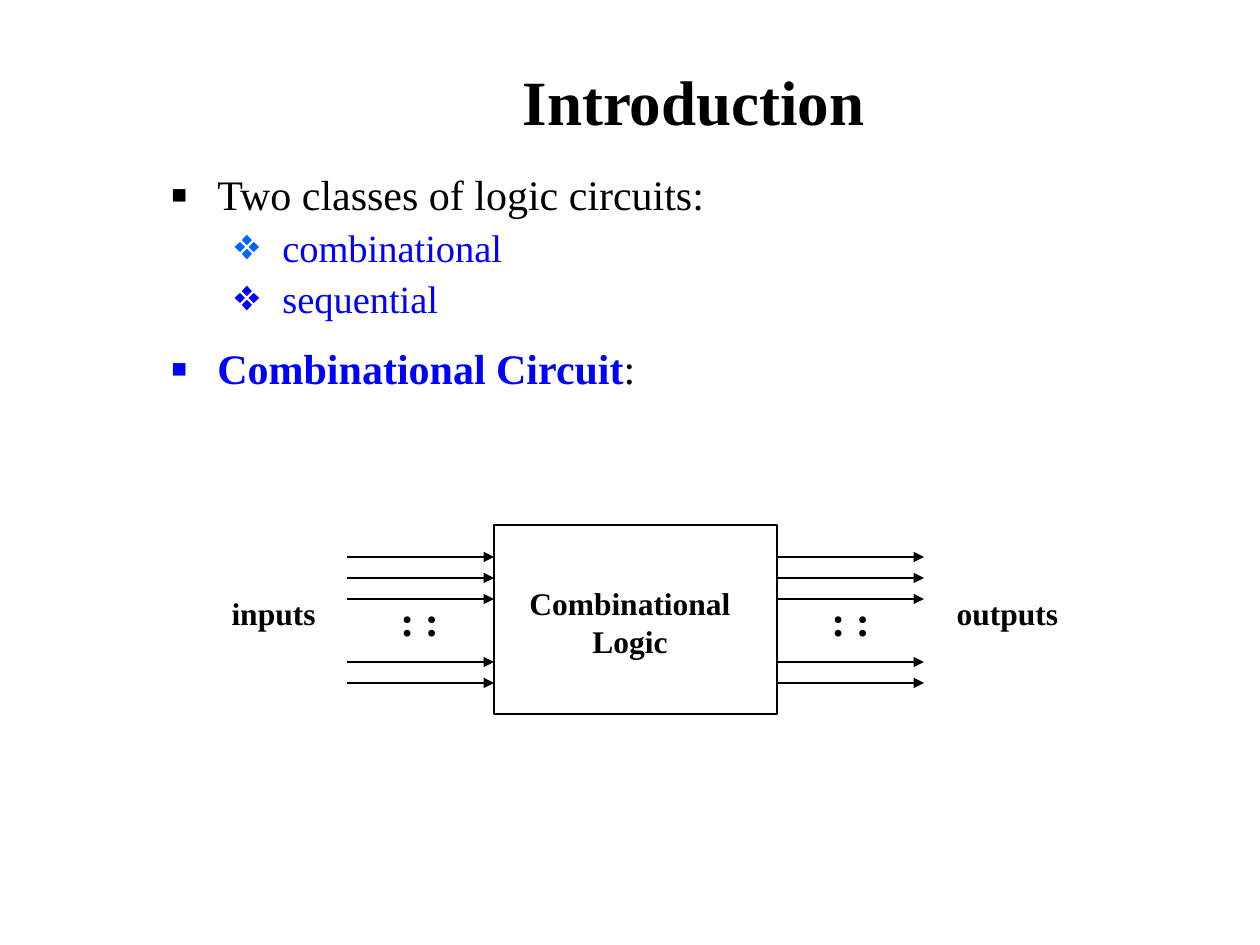
from lxml import etree
from pptx import Presentation
from pptx import util as u
from pptx.dml.color import RGBColor
from pptx.enum import shapes, text
from pptx.oxml.ns import qn

SCALE = 914400 / 126
FONT = "Times New Roman"
BLACK = RGBColor(0, 0, 0)
BLUE = RGBColor(0, 0, 255)
AZURE = RGBColor(0, 102, 255)

WIRE_TOP, WIRE_GAP, WIRE_LENGTH = 557, 21, 147
WIRE_SLOTS = (0, 1, 2, 5, 6)
BOX_LEFT, BOX_RIGHT = 494, 777


def px(n):
    return u.Emu(round(n * SCALE))


def style(r, size, color=BLACK, bold=False):
    r.font.name = FONT
    r.font.size = u.Pt(size)
    r.font.bold = bold
    r.font.color.rgb = color


def add_title(s, wording):
    sp = s.shapes.title
    sp.left, sp.top, sp.width, sp.height = px(158), px(21), px(1071), px(158)
    tf = sp.text_frame
    tf.text = wording
    tf.vertical_anchor = text.MSO_ANCHOR.MIDDLE
    p = tf.paragraphs[0]
    p.alignment = text.PP_ALIGN.CENTER
    style(p.runs[0], 36, bold=True)


def add_text_frame(s, x, y, w, h):
    tf = s.shapes.add_textbox(px(x), px(y), px(w), px(h)).text_frame
    tf.word_wrap = True
    return tf


def add_label(s, x, y, w, h, lines, size=18, align=text.PP_ALIGN.CENTER):
    tf = add_text_frame(s, x, y, w, h)
    tf.text = "\n".join(lines)
    for p in tf.paragraphs:
        p.alignment = align
        style(p.runs[0], size, bold=True)


def set_bullet(p, char, color, percent, margin, hanging):
    pPr = p._p.get_or_add_pPr()
    pPr.set("marL", str(px(margin)))
    pPr.set("indent", str(-px(hanging)))
    clr = etree.SubElement(pPr, qn("a:buClr"))
    etree.SubElement(clr, qn("a:srgbClr"), val=str(color))
    etree.SubElement(pPr, qn("a:buSzPct"), val=str(percent * 1000))
    etree.SubElement(pPr, qn("a:buFont"), typeface=FONT)
    etree.SubElement(pPr, qn("a:buChar"), char=char)


def add_bullet(p, level, parts, bullet_color, before):
    size = (24, 22)[level]
    p.level = level
    p.line_spacing = 0.9
    p.space_before = u.Pt(before)
    for wording, color, bold in parts:
        r = p.add_run()
        r.text = wording
        style(r, size, color, bold)
    if level:
        set_bullet(p, "❖", bullet_color, 90, 112, 49)
    else:
        set_bullet(p, "▪", bullet_color, 120, 47, 47)


def add_body(s):
    items = [
        (0, [("Two classes of logic circuits:", BLACK, False)], BLACK, 6),
        (1, [("combinational", BLUE, False)], AZURE, 5.5),
        (1, [("sequential", BLUE, False)], BLUE, 5.5),
        (0, [("Combinational Circuit", BLUE, True), (":", BLACK, False)], BLUE, 15),
    ]
    tf = add_text_frame(s, 158, 168, 1071, 242)
    for i, item in enumerate(items):
        add_bullet(tf.add_paragraph() if i else tf.paragraphs[0], *item)


def add_box(s):
    sp = s.shapes.add_shape(shapes.MSO_SHAPE.RECTANGLE, px(BOX_LEFT), px(525),
                            px(BOX_RIGHT - BOX_LEFT), px(189))
    sp.shadow.inherit = False
    sp.fill.background()
    sp.line.color.rgb = BLACK
    sp.line.width = u.Pt(1.5)


def add_arrow(s, x, y):
    c = s.shapes.add_connector(shapes.MSO_CONNECTOR.STRAIGHT,
                               px(x), px(y), px(x + WIRE_LENGTH), px(y))
    c.line.color.rgb = BLACK
    c.line.width = u.Pt(1.25)
    etree.SubElement(c.line._get_or_add_ln(), qn("a:tailEnd"), type="triangle")
    etree.SubElement(c._element.spPr, qn("a:effectLst"))


def add_wires(s, x, dots_x):
    for slot in WIRE_SLOTS:
        add_arrow(s, x, WIRE_TOP + slot * WIRE_GAP)
    add_label(s, dots_x, 588, 84, 63, [": :"], 24, text.PP_ALIGN.LEFT)


def main():
    prs = Presentation()
    prs.slide_width, prs.slide_height = px(1260), px(945)
    s = prs.slides.add_slide(prs.slide_layouts[5])
    add_title(s, "Introduction")
    add_body(s)
    add_box(s)
    add_label(s, 504, 578, 252, 88, ["Combinational", "Logic"])
    add_wires(s, BOX_LEFT - WIRE_LENGTH, 388)
    add_wires(s, BOX_RIGHT, 819)
    add_label(s, 200, 588, 147, 50, ["inputs"])
    add_label(s, 934, 588, 147, 50, ["outputs"])
    prs.save("out.pptx")


if __name__ == "__main__":
    main()
